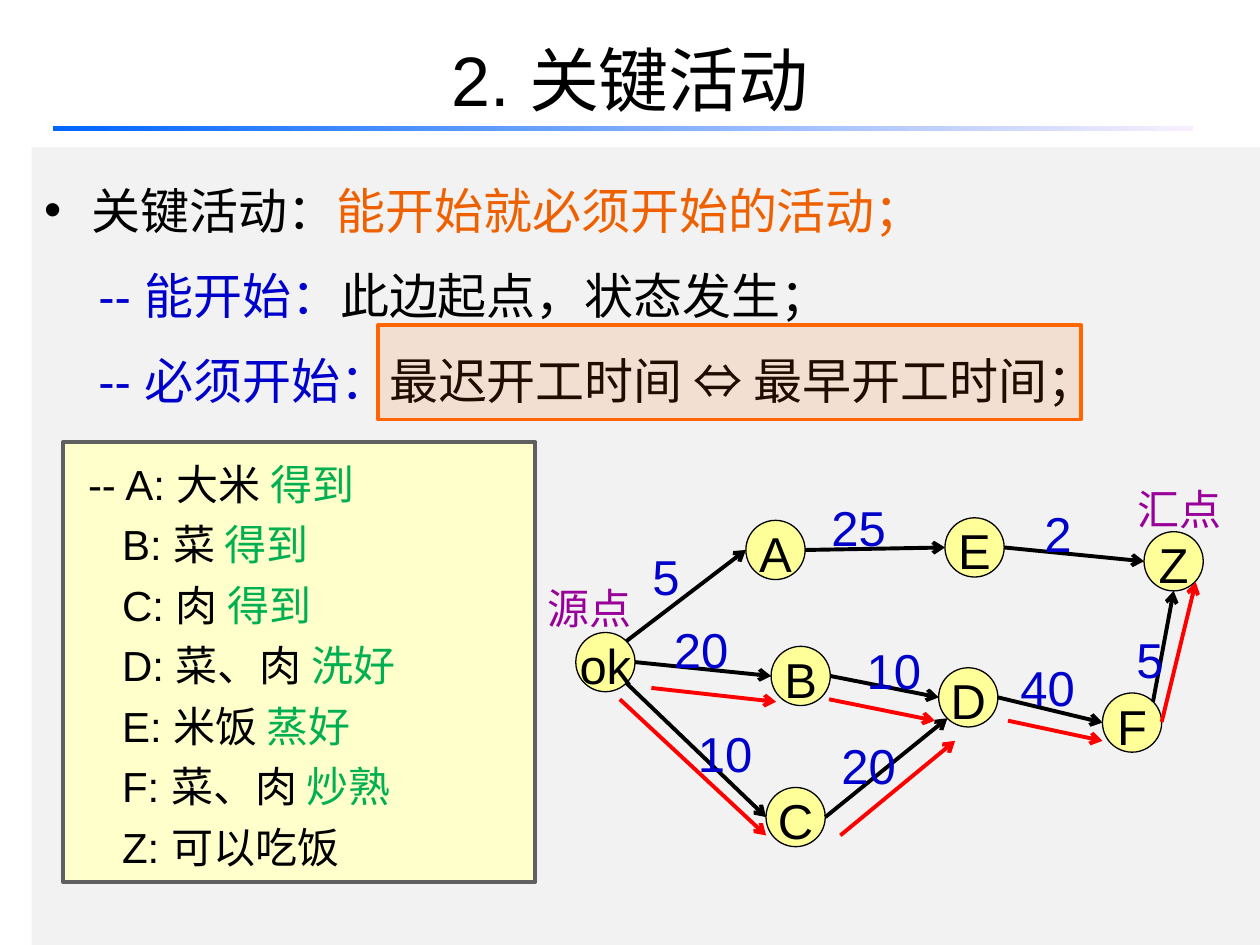
import math
from pptx import Presentation, util as u
from pptx.dml import color
from pptx.enum import shapes, text
from pptx.oxml import ns, xmlchemy as xc

MID = text.MSO_ANCHOR.MIDDLE
ALIGN = text.PP_ALIGN
BLUE, GREEN, PURPLE = "0000CC", "00B050", "990099"
SIZE = 0.47


def rgb(code):
    """Turn a hex string into a colour."""
    return color.RGBColor.from_string(code)


def put(obj, vals):
    """Set attributes from a dict."""
    for key, val in vals.items():
        setattr(obj, key, val)


def add(parent, tag, **vals):
    """Append a drawing element with attributes."""
    item = xc.OxmlElement(tag)
    for key, val in vals.items():
        item.set(key, str(val))
    parent.append(item)
    return item


def place(obj, box):
    """Move and size an object to a box in inches."""
    put(obj, dict(zip(("left", "top", "width", "height"), map(u.Inches, box))))


def write(para, runs, size, form):
    """Fill a paragraph with (words, colour) runs."""
    put(para, form)
    for words, code in runs:
        run = para.add_run()
        run.text = words
        put(run.font, {"name": "Arial", "size": u.Pt(size)})
        run.font.color.rgb = rgb(code)


def indent(para, left, hang=0, mark=None):
    """Set margin, hanging indent and bullet of a paragraph."""
    props = para._p.get_or_add_pPr()
    props.set("marL", str(u.Inches(left)))
    props.set("indent", str(-u.Inches(hang)))
    if mark:
        add(props, "a:buFont", typeface="Arial")
        add(props, "a:buChar", char=mark)
    else:
        add(props, "a:buNone")


def shape(slide, kind, box, fill, line=None, width=0):
    """Add a filled preset shape."""
    obj = slide.shapes.add_shape(kind, *map(u.Inches, box))
    obj.shadow.inherit = False
    obj.fill.solid()
    obj.fill.fore_color.rgb = rgb(fill)
    if line:
        obj.line.color.rgb = rgb(line)
        obj.line.width = u.Pt(width)
    else:
        obj.line.fill.background()
    return obj


def arrow(slide, start, end, code):
    """Add a straight line with an open arrowhead."""
    line = slide.shapes.add_connector(
        shapes.MSO_CONNECTOR.STRAIGHT, *map(u.Inches, (*start, *end)))
    line.line.color.rgb = rgb(code)
    line.line.width = u.Pt(2.25)
    add(line.line._get_or_add_ln(), "a:tailEnd", type="arrow")
    add(line._element.spPr, "a:effectLst")


def heading(slide, box):
    """Place the title and the fading rule under it."""
    title = slide.shapes.title
    place(title, box)
    title.text_frame.vertical_anchor = MID
    write(title.text_frame.paragraphs[0], [("2. 关键活动", "000000")], 40,
          {"alignment": ALIGN.CENTER})
    rule = shape(slide, shapes.MSO_SHAPE.RECTANGLE, (0.42, 1, 9.05, 0.04), "0066FF")
    rule.fill.gradient()
    rule.fill.gradient_angle = 0
    for stop, code in zip(rule.fill.gradient_stops, ("0066FF", "F7EFFF")):
        stop.color.rgb = rgb(code)


def points(slide, box):
    """Place the definition list on its grey panel."""
    body = slide.placeholders[1]
    place(body, box)
    body.fill.solid()
    body.fill.fore_color.rgb = rgb("F2F2F2")
    frame = body.text_frame
    frame.auto_size = text.MSO_AUTO_SIZE.NONE
    rows = [
        ("关键活动：", "000000", "能开始就必须开始的活动；", "EE6000"),
        ("-- 能开始：", BLUE, "此边起点，状态发生；", "000000"),
        ("-- 必须开始：", BLUE, "最迟开工时间 ⇔ 最早开工时间；", "000000"),
    ]
    form = {"alignment": ALIGN.JUSTIFY, "line_spacing": 1.45, "space_before": u.Pt(0)}
    for num, (head, tint, rest, code) in enumerate(rows):
        para = frame.add_paragraph() if num else frame.paragraphs[0]
        indent(para, *((0.43,) if num else (0.38, 0.38, "•")))
        write(para, [(head, tint), (rest, code)], 28, form)


def legend(slide, box):
    """Place the box that explains each state."""
    panel = shape(slide, shapes.MSO_SHAPE.RECTANGLE, box, "FFFFCC", "606060", 2.25)
    frame = panel.text_frame
    put(frame, {"word_wrap": True, "vertical_anchor": text.MSO_ANCHOR.TOP})
    rows = [("-- A: 大米 ", "得到"), ("B: 菜 ", "得到"), ("C: 肉 ", "得到"),
            ("D: 菜、肉 ", "洗好"), ("E: 米饭 ", "蒸好"), ("F: 菜、肉 ", "炒熟"),
            ("Z: 可以吃饭", "")]
    form = {"alignment": ALIGN.JUSTIFY, "line_spacing": 1.2}
    for num, (head, done) in enumerate(rows):
        para = frame.add_paragraph() if num else frame.paragraphs[0]
        indent(para, 0.37 if num else 0.1)
        runs = [(head, "000000"), (done, GREEN)]
        write(para, runs if done else runs[:1], 24, form)


def label(slide, box, words, size, code):
    """Add a short unwrapped label."""
    frame = slide.shapes.add_textbox(*map(u.Inches, box)).text_frame
    frame.word_wrap = False
    write(frame.paragraphs[0], [(words, code)], size,
          {"line_spacing": 1.25, "alignment": ALIGN.LEFT})


def graph(slide, box):
    """Draw the activity network inside a box."""
    left, top = box[:2]
    nodes = {"ok": (0.32, 1.33), "A": (1.67, 0.44), "B": (1.87, 1.44),
             "C": (1.83, 2.56), "D": (3.2, 1.61), "E": (3.25, 0.42),
             "F": (4.5, 1.81), "Z": (4.83, 0.53)}
    edges = [("ok", -45, "A", 180), ("ok", 0, "B", 180), ("ok", 45, "C", 180),
             ("A", 0, "E", 180), ("E", 0, "Z", 180), ("B", 0, "D", 180),
             ("C", 0, "D", 135), ("D", 0, "F", 180), ("F", -45, "Z", 90)]
    costs = [("5", 0.83, 0.48), ("20", 1, 1.06), ("10", 1.19, 1.89),
             ("20", 2.33, 1.98), ("10", 2.53, 1.23), ("25", 2.25, 0.09),
             ("5", 4.67, 1.14), ("2", 3.94, 0.14), ("40", 3.75, 1.36)]
    trail = [(0.92, 1.77, 1.91, 1.88), (2.33, 1.86, 3.17, 2.03),
             (3.75, 2.03, 4.5, 2.19), (0.67, 1.86, 1.83, 2.94),
             (2.42, 2.94, 3.33, 2.19), (4.97, 2.04, 5.24, 0.93)]

    def port(name, turn):
        """Find the point on a node's rim at an angle."""
        x, y = nodes[name]
        half, ang = SIZE / 2, math.radians(turn)
        return (left + x + half + half * math.cos(ang),
                top + y + half + half * math.sin(ang))

    for name, (x, y) in nodes.items():
        node = shape(slide, shapes.MSO_SHAPE.OVAL, (left + x, top + y, SIZE, SIZE),
                     "FFFF99", "000000", 0.75)
        put(node.text_frame, {"word_wrap": False, "vertical_anchor": MID})
        write(node.text_frame.paragraphs[0], [(name, "000000")], 28,
              {"alignment": ALIGN.CENTER, "line_spacing": 1.1})
    for src, out, dest, into in edges:
        arrow(slide, port(src, out), port(dest, into), "000000")
    for words, x, y in costs:
        wide = 0.42 if len(words) == 1 else 0.64
        label(slide, (left + x, top + y, wide, 0.63), words, 28, BLUE)
    for words, x, y in (("源点", 0, 0.78), ("汇点", 4.68, 0)):
        label(slide, (left + x, top + y, 0.88, 0.55), words, 24, PURPLE)
    for x, y, right, low in trail:
        arrow(slide, (left + x, top + y), (left + right, top + low), "FF0000")


def frame(slide, box):
    """Lay a see-through highlight over the key condition."""
    mark = shape(slide, shapes.MSO_SHAPE.RECTANGLE, box, "FF6600", "FF6600", 2.25)
    tint = mark._element.spPr.find(ns.qn("a:solidFill"))[0]
    add(tint, "a:alpha", val=13000)


def main():
    """Build and save the slide."""
    deck = Presentation()
    put(deck, {"slide_width": u.Inches(10), "slide_height": u.Inches(7.5)})
    slide = deck.slides.add_slide(deck.slide_layouts[1])
    heading(slide, (0.5, 0, 9, 1.25))
    points(slide, (0.25, 1.17, 9.75, 6.33))
    graph(slide, (4.25, 3.69, 5.75, 3.1))
    legend(slide, (0.5, 3.51, 3.75, 3.49))
    frame(slide, (3, 2.58, 5.58, 0.75))
    deck.save("out.pptx")


if __name__ == "__main__":
    main()
